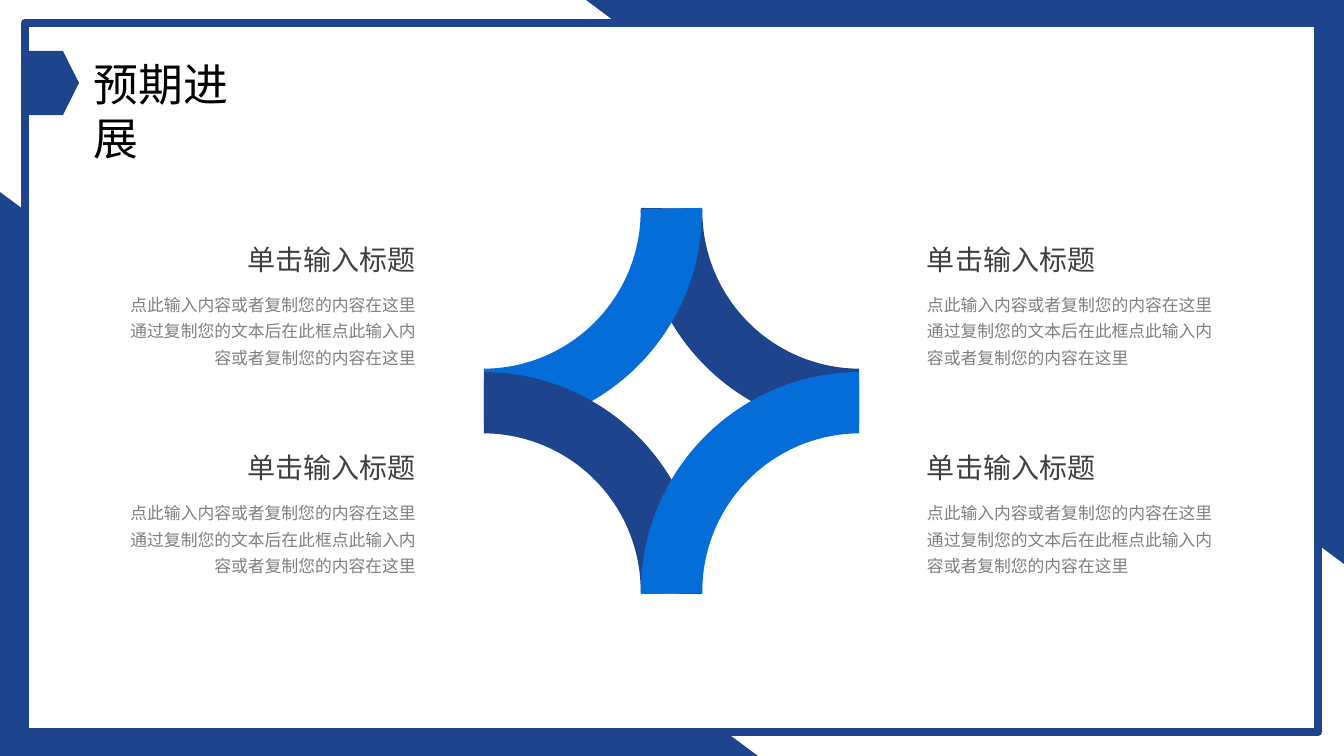
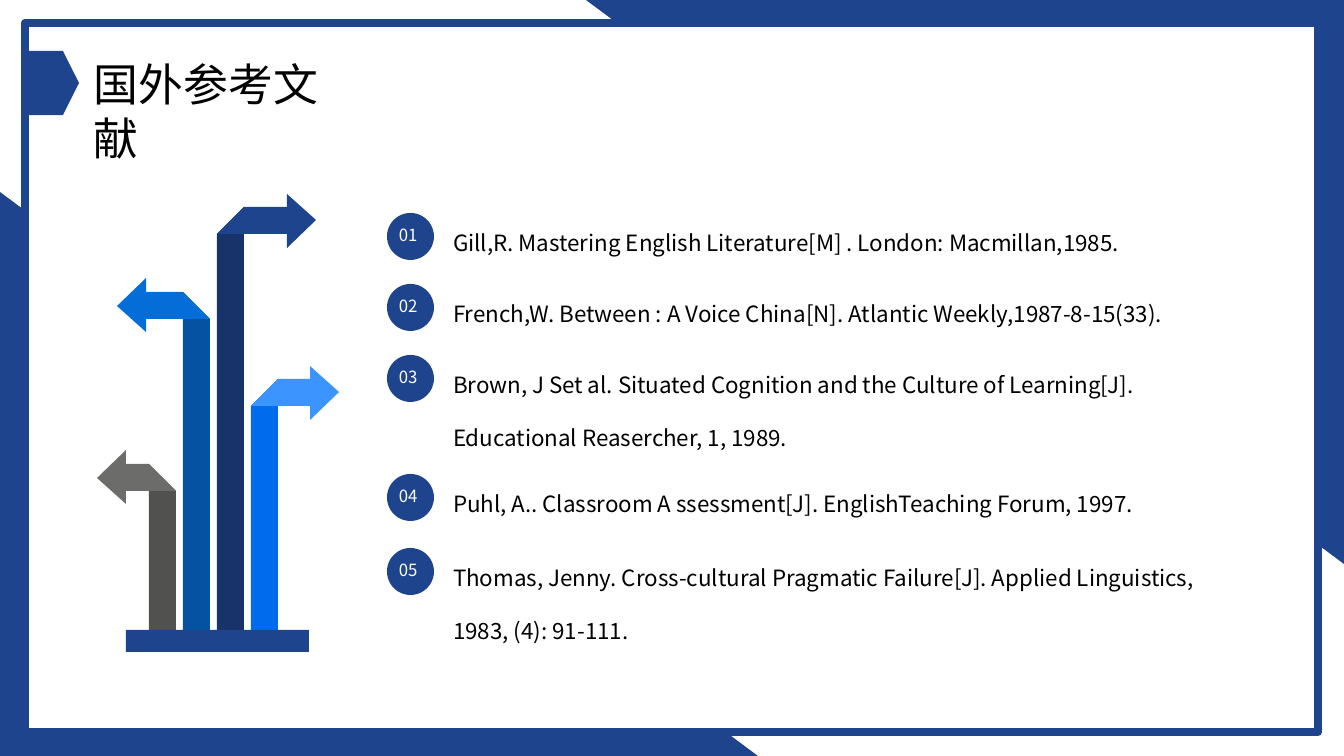
import pptx
import pptx.dml.color
import pptx.enum.shapes
import pptx.enum.text
import pptx.oxml.ns
import pptx.util
from lxml import etree

SHAPE = pptx.enum.shapes.MSO_SHAPE
LEFT = pptx.enum.text.PP_ALIGN.LEFT
RIGHT = pptx.enum.text.PP_ALIGN.RIGHT
PX = 914400 / 100.8
FONT = "Noto Sans CJK JP"
NAVY, BLUE, WHITE, BLACK = "1F448E", "056DD7", "FFFFFF", "000000"
HEADING_GREY, BODY_GREY = "404040", "808080"


def emu(px):
    return pptx.util.Emu(round(px * PX))


def color(hex_code):
    return pptx.dml.color.RGBColor.from_string(hex_code)


def paint(shape, fill, line=None, line_pt=0):
    shape.shadow.inherit = False
    shape.fill.solid()
    shape.fill.fore_color.rgb = color(fill)
    if line:
        shape.line.color.rgb = color(line)
        shape.line.width = pptx.util.Pt(line_pt)
    else:
        shape.line.fill.background()
    return shape


def add_shape(slide, kind, box, fill, line=None, line_pt=0):
    shape = slide.shapes.add_shape(kind, *map(emu, box))
    return paint(shape, fill, line, line_pt)


def add_outline(slide, points, fill):
    builder = slide.shapes.build_freeform(*points[0], scale=PX)
    builder.add_line_segments(points[1:], close=True)
    return paint(builder.convert_to_shape(), fill)


def write(shape, text, size, fill, margins, align=LEFT, spacing=None):
    frame = shape.text_frame
    frame.word_wrap = True
    frame.vertical_anchor = pptx.enum.text.MSO_ANCHOR.TOP
    (frame.margin_left, frame.margin_top,
     frame.margin_right, frame.margin_bottom) = map(emu, margins)
    paragraph = frame.paragraphs[0]
    paragraph.text = text
    paragraph.alignment = align
    if spacing:
        paragraph.line_spacing = spacing
    font = paragraph.font
    font.size = pptx.util.Pt(size)
    font.color.rgb = color(fill)
    font.name = FONT
    # East Asian typeface follows the Latin one
    latin = paragraph._p.pPr.find(".//" + pptx.oxml.ns.qn("a:latin"))
    east_asian = etree.Element(pptx.oxml.ns.qn("a:ea"), typeface=FONT)
    latin.addnext(east_asian)


def add_text(slide, box, text, size, fill, margins=(0, 0, 0, 0), **style):
    textbox = slide.shapes.add_textbox(*map(emu, box))
    write(textbox, text, size, fill, margins, **style)


PADDED = (10, 5, 10, 5)


def framed_slide(deck, title, title_width):
    slide = deck.slides.add_slide(deck.slide_layouts[6])
    # Corner triangles and framed white page
    upper = add_shape(slide, SHAPE.RIGHT_TRIANGLE, (586, 0, 758, 564), NAVY)
    upper.rotation = 180
    add_shape(slide, SHAPE.RIGHT_TRIANGLE, (0, 192, 758, 564), NAVY)
    add_shape(slide, SHAPE.RECTANGLE, (25, 23, 1293, 709), WHITE, NAVY, 6)
    # Title with its marker
    add_text(slide, (84, 52, title_width, 64), title, 32, BLACK, PADDED)
    marker = add_shape(slide, SHAPE.PENTAGON, (28, 51, 51, 64), NAVY)
    marker.adjustments[0] = 0.315
    return slide


def arc_star(slide, box):
    """Four quarter arcs, each curving around one corner of the box."""
    left, top, width, height = box
    size = 438
    arcs = [(1, 0, NAVY, ""), (0, 0, BLUE, "H"),
            (0, 1, NAVY, "HV"), (1, 1, BLUE, "V")]
    for col, row, fill, flips in arcs:
        arc = add_shape(slide, SHAPE.BLOCK_ARC,
                        (left + col * (width - size),
                         top + row * (height - size), size, size), fill)
        for index, value in enumerate((162.16, 0.48, 0.14)):
            arc.adjustments[index] = value
        arc.rotation = 180
        for axis in flips:
            arc._element.spPr.xfrm.set("flip" + axis, "1")


def topic(slide, box, heading, body, align):
    left, top, width, height = box
    add_text(slide, (left, top, width, 34), heading, 20, HEADING_GREY,
             align=align)
    add_text(slide, (left, top + 47, width, height - 47), body, 12, BODY_GREY,
             align=align, spacing=1.3)


def progress_slide(deck):
    slide = framed_slide(deck, "预期进展", 199)
    arc_star(slide, (264, -8, 815, 818))
    heading = "单击输入标题"
    body = ("点此输入内容或者复制您的内容在这里"
            "通过复制您的文本后在此框点此输入内容或者复制您的内容在这里")
    for row in range(2):
        for left, align in ((118, RIGHT), (927, LEFT)):
            topic(slide, (left, 242 + row * 208, 298, 125), heading, body,
                  align)


def bent_arrow(slide, stem, bend, tip, base, stem_fill, arm_fill):
    """Stem rising from base, folded at bend towards tip."""
    thick, head = 27, 29
    side = 1 if tip > stem else -1
    near = stem if side > 0 else stem + thick
    far = near + side * thick
    neck = tip - side * head
    fold = bend + thick
    middle = bend + thick / 2
    add_outline(slide, [(far, bend), (far, base), (near, base), (near, fold)],
                stem_fill)
    add_outline(slide, [(neck, fold), (near, fold), (far, bend), (neck, bend)],
                arm_fill)
    add_outline(slide, [(tip, middle), (neck, middle - thick),
                        (neck, middle + thick)], arm_fill)


def arrow_tree(slide, box):
    left, top, width, height = box
    base = top + height - 22
    # Stem left, bend top and arrow tip, from the box corner
    arrows = [(120, 14, 219, "17336A", NAVY),
              (154, 186, 242, "006BEC", "3B94FF"),
              (86, 99, 20, "0452A1", BLUE),
              (52, 271, 0, "515150", "6C6C6A")]
    for stem, bend, tip, stem_fill, arm_fill in arrows:
        bent_arrow(slide, left + stem, top + bend, left + tip, base,
                   stem_fill, arm_fill)
    add_shape(slide, SHAPE.RECTANGLE, (left + 29, base, 183, 22), NAVY)


def reference(slide, box, number, citation):
    left, top, width, height = box
    badge = add_shape(slide, SHAPE.OVAL, (left, top + 16, 47, 47), NAVY)
    write(badge, f"{number:02}", 12, WHITE, (5, 5, 0, 0))
    add_text(slide, (left + 56, top, width - 56, height), citation, 16, BLACK,
             PADDED, spacing=2.0)


def references_slide(deck):
    slide = framed_slide(deck, "国外参考文献", 287)
    arrow_tree(slide, (97, 193, 242, 459))
    # Top, height and wording of each reference
    references = [
        (197, 57, "Gill,R. Mastering English Literature[M] . London: "
                  "Macmillan,1985."),
        (268, 57, "French,W. Between : A Voice China[N]. Atlantic "
                  "Weekly,1987-8-15(33)."),
        (339, 112, "Brown, J Set al. Situated Cognition and the Culture of "
                   "Learning[J]. Educational Reasercher, 1, 1989."),
        (458, 57, "Puhl, A.. Classroom A ssessment[J]. EnglishTeaching "
                  "Forum, 1997."),
        (532, 112, "Thomas, Jenny. Cross-cultural Pragmatic Failure[J]. "
                   "Applied Linguistics, 1983, (4): 91-111."),
    ]
    for number, (top, height, citation) in enumerate(references, 1):
        reference(slide, (387, top, 858, height), number, citation)


def main():
    deck = pptx.Presentation()
    deck.slide_width, deck.slide_height = emu(1344), emu(756)
    progress_slide(deck)
    references_slide(deck)
    deck.save("out.pptx")


if __name__ == "__main__":
    main()
